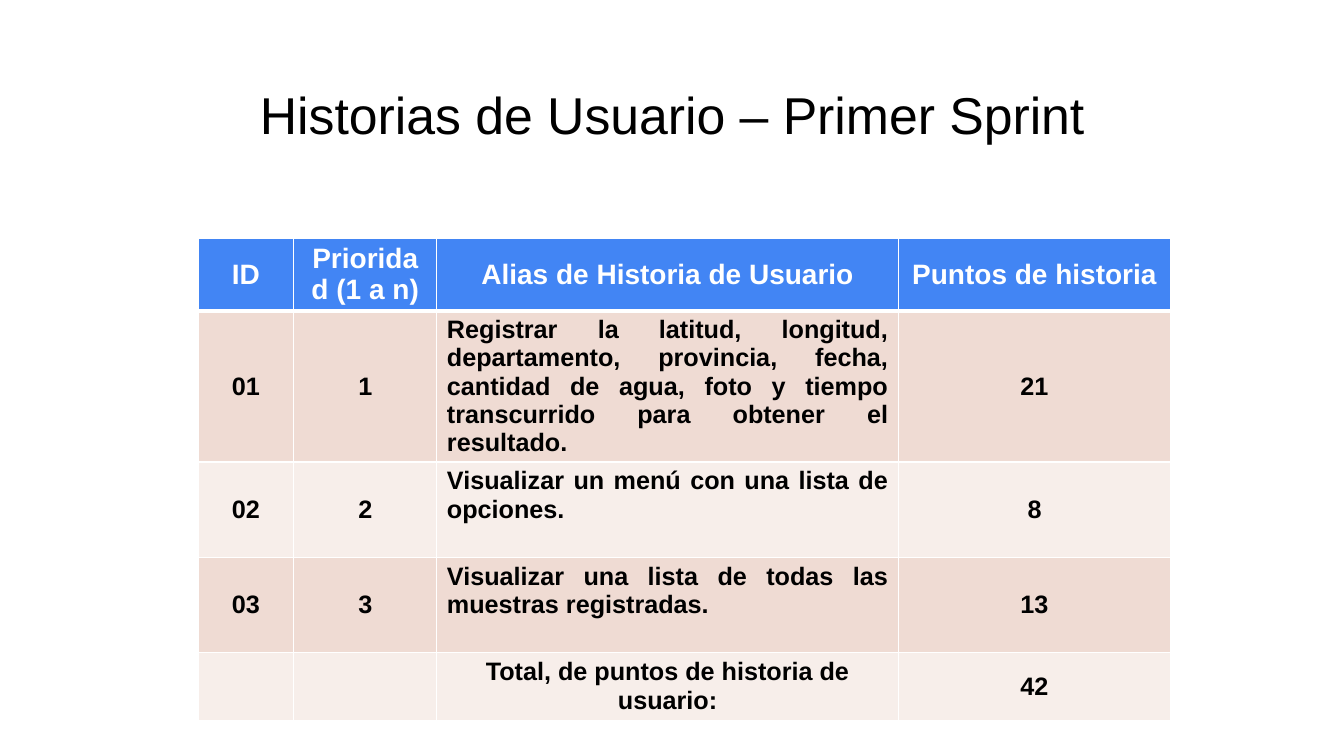
from dataclasses import dataclass

from lxml import etree
from pptx import Presentation
from pptx.dml.color import RGBColor
from pptx.enum.text import MSO_ANCHOR, MSO_AUTO_SIZE, PP_ALIGN
from pptx.oxml.ns import qn
from pptx.util import Cm, Pt

CENTER, JUSTIFY = PP_ALIGN.CENTER, PP_ALIGN.JUSTIFY
TOP, MIDDLE = MSO_ANCHOR.TOP, MSO_ANCHOR.MIDDLE


@dataclass(frozen=True)
class Theme:
    font: str = "Arial"
    title_size: int = 37
    header_size: int = 20
    body_size: int = 18
    text: str = "000000"
    white: str = "FFFFFF"
    header_fill: str = "4285F4"
    band_fills: tuple = ("F7EEEA", "EFDBD3")


theme = Theme()


def write_text(paragraph, text, size, color, alignment, bold):
    paragraph.alignment = alignment
    paragraph.font.size = Pt(size)
    if not text:
        return
    run = paragraph.add_run()
    run.text = text
    run.font.name = theme.font
    run.font.size = Pt(size)
    run.font.bold = bold
    run.font.color.rgb = RGBColor.from_string(color)


def set_borders(cell, widths):
    properties = cell._tc.get_or_add_tcPr()
    # Border lines must come before the fill
    for index, (side, width) in enumerate(widths.items()):
        line = etree.Element(qn(f"a:{side}"), w=str(Pt(width)))
        fill = etree.SubElement(line, qn("a:solidFill"))
        etree.SubElement(fill, qn("a:srgbClr"), val=theme.white)
        properties.insert(index, line)


presentation = Presentation()
presentation.slide_width = Cm(33.87)
presentation.slide_height = Cm(19.05)
slide = presentation.slides.add_slide(presentation.slide_layouts[5])

# Title
title = slide.shapes.title
title.left, title.top, title.width, title.height = Cm(2.34), Cm(1.02), Cm(29.21), Cm(3.68)
title.text_frame.auto_size = MSO_AUTO_SIZE.NONE
title.text_frame.vertical_anchor = MIDDLE
write_text(title.text_frame.paragraphs[0], "Historias de Usuario – Primer Sprint",
           theme.title_size, theme.text, CENTER, False)

# Stories of the first sprint
stories = [
    ("ID", "Prioridad (1 a n)", "Alias de Historia de Usuario", "Puntos de historia"),
    ("01", "1", "Registrar la latitud, longitud, departamento, provincia, fecha, "
     "cantidad de agua, foto y tiempo transcurrido para obtener el resultado.", "21"),
    ("02", "2", "Visualizar un menú con una lista de opciones.", "8"),
    ("03", "3", "Visualizar una lista de todas las muestras registradas.", "13"),
    ("", "", "Total, de puntos de historia de usuario:", "42"),
]
column_widths = [2.41, 3.61, 11.63, 6.86]
row_heights = [1.83, 3.81, 2.4, 2.4, 1.71]
alias_column = 2
total_row = len(stories) - 1

# Table
table = slide.shapes.add_table(
    len(stories), len(column_widths), Cm(4.99), Cm(6),
    Cm(sum(column_widths)), Cm(sum(row_heights))).table
for column, width in zip(table.columns, column_widths):
    column.width = Cm(width)
for row, height in zip(table.rows, row_heights):
    row.height = Cm(height)

# Cells
for row_index, story in enumerate(stories):
    is_header = row_index == 0
    fill = theme.header_fill if is_header else theme.band_fills[row_index % 2]
    size = theme.header_size if is_header else theme.body_size
    color = theme.white if is_header else theme.text
    borders = {"lnL": 1, "lnR": 1, "lnT": 3 if row_index == 1 else 1,
               "lnB": 3 if is_header else 1}
    for column_index, text in enumerate(story):
        cell = table.cell(row_index, column_index)
        is_alias = column_index == alias_column and 0 < row_index < total_row
        cell.fill.solid()
        cell.fill.fore_color.rgb = RGBColor.from_string(fill)
        cell.vertical_anchor = TOP if is_alias else MIDDLE
        set_borders(cell, borders)
        write_text(cell.text_frame.paragraphs[0], text, size, color,
                   JUSTIFY if is_alias else CENTER, True)

presentation.save("out.pptx")
